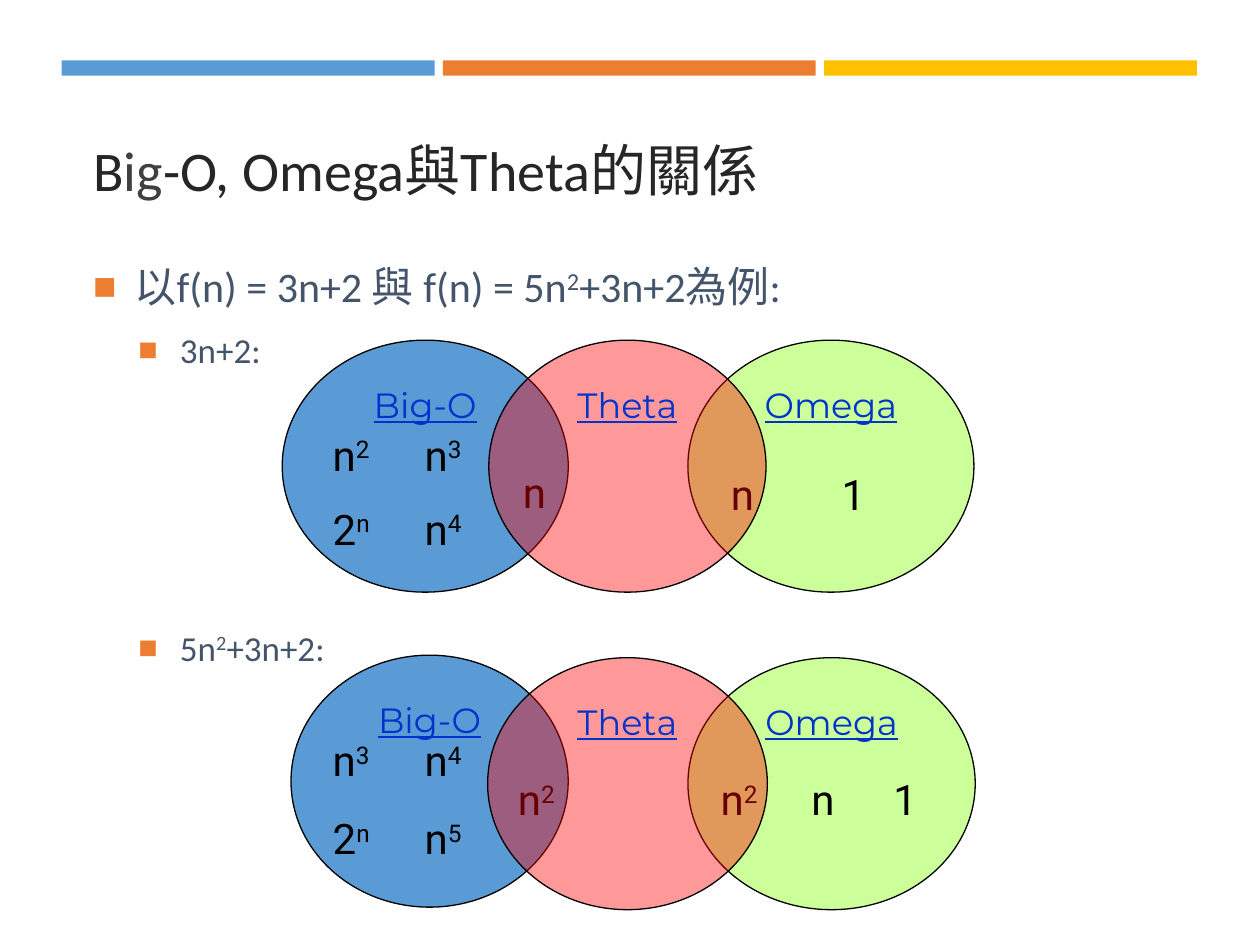
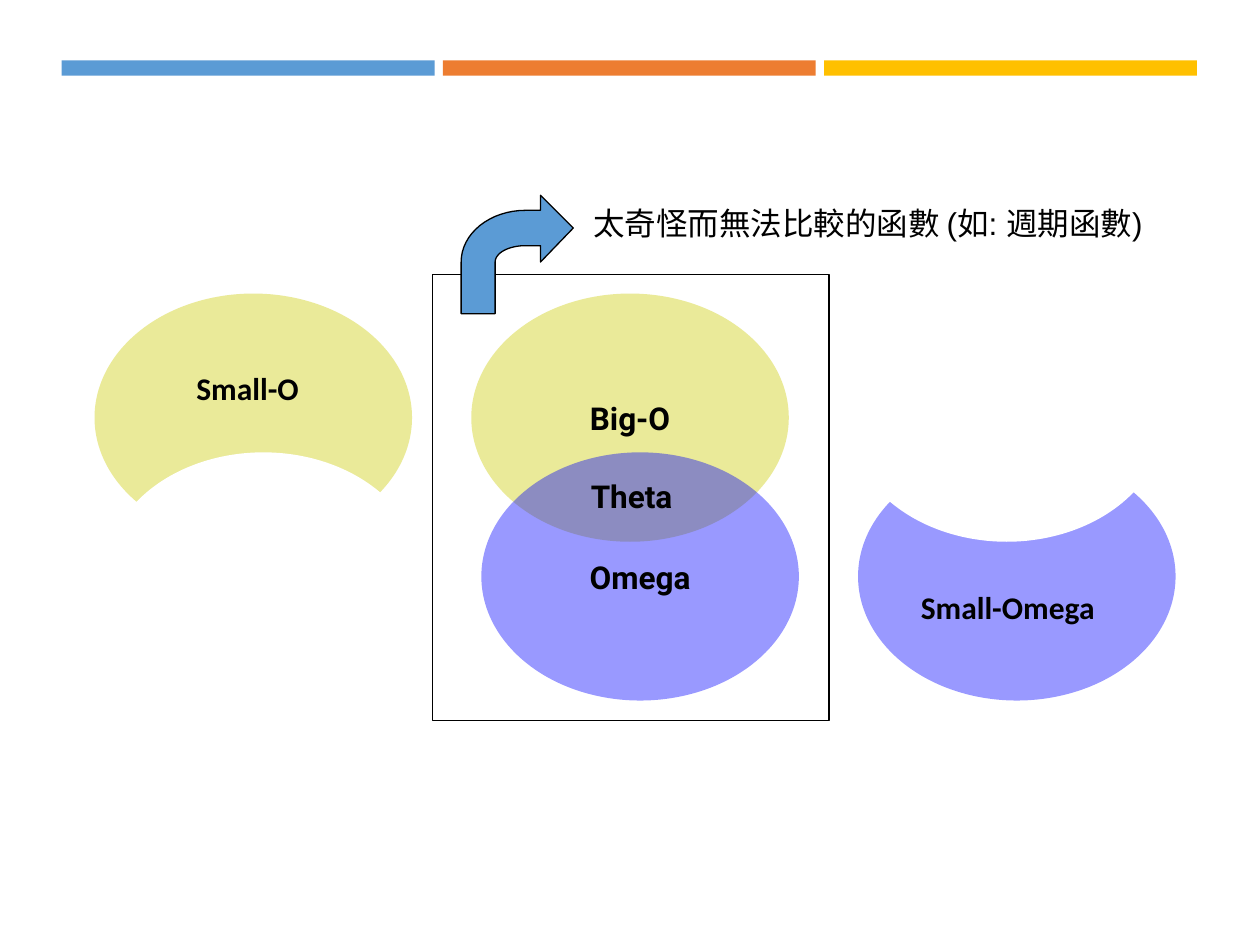
from math import cos, pi, sin

from lxml import etree
from pptx import Presentation
from pptx.dml.color import RGBColor
from pptx.enum.shapes import MSO_SHAPE as Shape
from pptx.enum.text import MSO_ANCHOR as Anchor, MSO_AUTO_SIZE as AutoSize, PP_ALIGN as Align
from pptx.oxml.ns import qn
from pptx.util import Inches, Pt

BLUE, ORANGE, GOLD = "5B9BD5", "ED7D31", "FFC000"
BLACK, WHITE, SLATE, LINK = "000000", "FFFFFF", "44546A", "0033CC"
RED, GREEN, OLIVE, VIOLET = "FF0000", "CCFF99", "CCCC00", "0000FF"
TRANSLUCENT = 40
NO_GRID_STYLE = "{2D5ABB26-0587-4C30-8999-92F81FD0307C}"

# "^" raises the character after it.
TITLE = [("B", "262626"), ("ig", "404040"), ("-O, Omega與Theta的關係", "262626")]
# text, level, size, space before
BULLETS = [
    ("以f(n) = 3n+2 與 f(n) = 5n^2+3n+2為例:", 0, 24, 0),
    ("3n+2:", 1, 20, 4),
    ("5n^2+3n+2:", 1, 20, 140),
]

# Each Venn row: circles as (left, top, width); tables as (left, top, columns, row height, cells)
VENN_ROWS = [
    {
        "Big-O": (2.24, 2.7, 2.27), "Omega": (5.46, 2.7, 2.27), "Theta": (3.88, 2.7, 2.2),
        "upper": (2.54, 3.33, [0.73, 0.78, 0.69], 0.59, [["n^2", "n^3", "n"], ["2^n", "n^4", None]]),
        "lower": (5.7, 3.69, [0.88, 0.93], 0.5, [["n", "1"]]),
    },
    {
        "Big-O": (2.31, 5.2, 2.2), "Omega": (5.46, 5.22, 2.28), "Theta": (3.87, 5.22, 2.22),
        "upper": (2.54, 5.74, [0.73, 0.74, 0.73], 0.62, [["n^3", "n^4", "n^2"], ["2^n", "n^5", None]]),
        "lower": (5.62, 6.11, [0.72, 0.65, 0.6], 0.5, [["n^2", "n", "1"]]),
    },
]

# Overlapping ovals: left, top, colour, opacity, label
OVAL_SIZE = (2.52, 1.97)
UPPER, LOWER = 2.33, 3.59
OVALS = [
    (3.74, UPPER, OLIVE, TRANSLUCENT, "Big-O"),
    (3.82, LOWER, VIOLET, TRANSLUCENT, "Omega"),
    (0.75, UPPER, OLIVE, TRANSLUCENT, None),
    (0.83, LOWER, WHITE, 100, None),
    (6.81, LOWER, VIOLET, TRANSLUCENT, None),
    (6.73, UPPER, WHITE, 100, None),
]
# text, place, font, bold, wrap
LABELS = [
    ("Theta", (4.59, 3.74, 0.89, 0.4), "Roboto", True, False),
    ("Small-O", (1.46, 2.88, 1.09, 0.4), "Calibri", True, False),
    ("Small-Omega", (7.21, 4.62, 1.66, 0.4), "Calibri", True, False),
    ("太奇怪而無法比較的函數 (如: 週期函數)", (4.61, 1.57, 4.56, 0.4), "Arial", False, True),
]


def rgb(color):
    return RGBColor.from_string(color)


def inches(*lengths):
    return [Inches(length) for length in lengths]


def add_text(para, text, size, font, color, bold=False, underline=False):
    """Add runs to a paragraph, raising each character that follows a caret."""
    first, *rest = text.split("^")
    pieces = [(first, False)]
    for part in rest:
        pieces += [(part[0], True), (part[1:], False)]
    for piece, raised in pieces:
        if not piece:
            continue
        span = para.add_run()
        span.text = piece
        span.font.size, span.font.name = Pt(size), font
        span.font.color.rgb = rgb(color)
        span.font.bold, span.font.underline = bold, underline
        if raised:
            span.font._element.set("baseline", "30000")


def style_shape(shape, fill=None, line=None, opacity=100):
    shape.shadow.inherit = False
    if fill:
        shape.fill.solid()
        shape.fill.fore_color.rgb = rgb(fill)
        if opacity < 100:
            color = shape.fill._xPr.find(qn("a:solidFill"))[0]
            etree.SubElement(color, qn("a:alpha"), val=str(opacity * 1000))
    else:
        shape.fill.background()
    if line:
        shape.line.color.rgb = rgb(line)
        shape.line.width = Pt(0.75)
    else:
        shape.line.fill.background()


def add_shape(slide, kind, place, fill=None, line=None, opacity=100):
    shape = slide.shapes.add_shape(kind, *inches(*place))
    style_shape(shape, fill, line, opacity)
    return shape


def add_slide(deck, layout):
    slide = deck.slides.add_slide(deck.slide_layouts[layout])
    for index, color in enumerate((BLUE, ORANGE, GOLD)):
        add_shape(slide, Shape.RECTANGLE, (0.49 + index * 3.025, 0.48, 2.96, 0.12), color)
    return slide


def add_title(slide):
    title = slide.shapes.title
    title.left, title.top, title.width, title.height = inches(0.64, 0.75, 8.74, 1.18)
    frame = title.text_frame
    frame.auto_size = AutoSize.NONE
    frame.vertical_anchor = Anchor.MIDDLE
    para = frame.paragraphs[0]
    para.alignment = Align.LEFT
    for text, color in TITLE:
        add_text(para, text, 32, "Calibri", color)


def add_bullet(para, level):
    props = para._p.get_or_add_pPr()
    props.set("marL", str(Inches((0.33, 0.69)[level])))
    props.set("indent", str(Inches(-0.33)))
    color = etree.SubElement(props, qn("a:buClr"))
    etree.SubElement(color, qn("a:srgbClr"), val=ORANGE)
    etree.SubElement(props, qn("a:buSzPct"), val="92000")
    etree.SubElement(props, qn("a:buFont"), typeface="Arial")
    etree.SubElement(props, qn("a:buChar"), char="■")


def add_bullets(slide):
    frame = slide.shapes.add_textbox(*inches(0.64, 2.02, 8.74, 4.37)).text_frame
    frame.word_wrap = True
    for index, (text, level, size, before) in enumerate(BULLETS):
        para = frame.add_paragraph() if index else frame.paragraphs[0]
        para.level = level
        add_bullet(para, level)
        para.space_before, para.space_after = Pt(before), Pt(6)
        add_text(para, text, size, "Calibri", SLATE)


def add_circle(slide, name, place, fill, opacity=100):
    left, top, width = place
    circle = add_shape(slide, Shape.OVAL, (left, top, width, 2), fill, BLACK, opacity)
    frame = circle.text_frame
    frame.vertical_anchor = Anchor.TOP
    para = frame.paragraphs[0]
    para.alignment = Align.CENTER
    add_text(para, name, 20, "Montserrat", LINK, underline=True)


def add_functions(slide, left, top, columns, row_height, rows):
    """Add a borderless table; a cell of None joins the one above it."""
    place = inches(left, top, sum(columns), row_height * len(rows))
    table = slide.shapes.add_table(len(rows), len(columns), *place).table
    table.first_row = table.horz_banding = False
    table._tbl.tblPr.find(qn("a:tableStyleId")).text = NO_GRID_STYLE
    for column, width in zip(table.columns, columns):
        column.width = Inches(width)
    for y, row in enumerate(rows):
        for x, text in enumerate(row):
            cell = table.cell(y, x)
            cell.fill.background()
            if text is None:
                table.cell(y - 1, x).merge(cell)
                continue
            cell.vertical_anchor = Anchor.MIDDLE
            add_text(cell.text_frame.paragraphs[0], text, 24, "Roboto", BLACK)


def add_bent_arrow(slide):
    def quarter(radius_x, radius_y, angles):
        return [(4.17 - radius_x * cos(a), 2.08 - radius_y * sin(a)) for a in angles]

    steps = [pi / 2 * step / 16 for step in range(17)]
    outline = [(4.55, 1.81), (4.29, 1.55), (4.29, 1.67)]
    outline += quarter(0.51, 0.41, reversed(steps))
    outline += [(3.66, 2.49), (3.93, 2.49)]
    outline += quarter(0.24, 0.13, steps)
    outline += [(4.29, 1.95), (4.29, 2.08)]
    points = [inches(*point) for point in outline]
    builder = slide.shapes.build_freeform(*points[0])
    builder.add_line_segments(points[1:], close=True)
    style_shape(builder.convert_to_shape(), BLUE, BLACK)


def build_venn_slide(deck):
    slide = add_slide(deck, 5)
    add_title(slide)
    add_bullets(slide)
    for row in VENN_ROWS:
        add_circle(slide, "Big-O", row["Big-O"], BLUE)
        add_functions(slide, *row["upper"])
        add_circle(slide, "Omega", row["Omega"], GREEN)
        add_functions(slide, *row["lower"])
        add_circle(slide, "Theta", row["Theta"], RED, TRANSLUCENT)


def build_small_bounds_slide(deck):
    slide = add_slide(deck, 6)
    add_shape(slide, Shape.RECTANGLE, (3.43, 2.18, 3.15, 3.54), line=BLACK)
    for left, top, color, opacity, label in OVALS:
        oval = add_shape(slide, Shape.OVAL, (left, top, *OVAL_SIZE), color, opacity=opacity)
        if label:
            oval.text_frame.word_wrap = False
            oval.text_frame.vertical_anchor = Anchor.MIDDLE
            para = oval.text_frame.paragraphs[0]
            para.alignment = Align.CENTER
            add_text(para, label, 18, "Roboto", BLACK, bold=True)
    add_bent_arrow(slide)
    for text, place, font, bold, wrap in LABELS:
        frame = slide.shapes.add_textbox(*inches(*place)).text_frame
        frame.word_wrap = wrap
        add_text(frame.paragraphs[0], text, 18, font, BLACK, bold)


def main():
    deck = Presentation()
    deck.slide_width, deck.slide_height = inches(10, 7.5)
    build_venn_slide(deck)
    build_small_bounds_slide(deck)
    deck.save("out.pptx")


if __name__ == "__main__":
    main()
